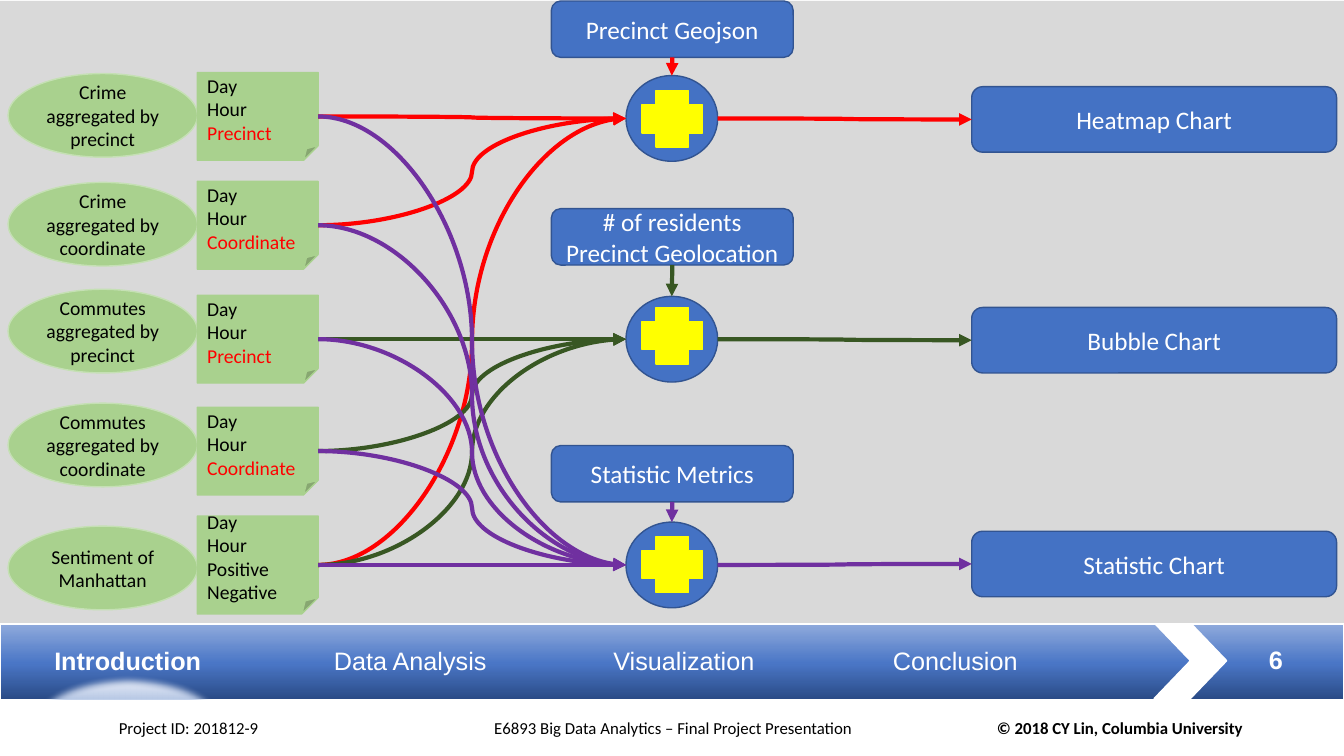
from dataclasses import dataclass

import pptx
import pptx.dml.color
import pptx.enum.shapes
import pptx.enum.text
import pptx.oxml
import pptx.oxml.ns
import pptx.util

SHAPE = pptx.enum.shapes.MSO_SHAPE
CONNECTOR = pptx.enum.shapes.MSO_CONNECTOR
ALIGN = pptx.enum.text.PP_ALIGN
ANCHOR = pptx.enum.text.MSO_ANCHOR
NS = pptx.oxml.ns.nsdecls("a")
WIDTH, HEIGHT = pptx.util.Inches(13.33), pptx.util.Inches(7.5)
COLS, ROWS = 40, 30


@dataclass(frozen=True)
class Theme:
    heading_font: str = "Arial"
    body_font: str = "Calibri"
    small: int = 12
    body: int = 14
    large: int = 18
    hairline: int = 1
    flow_line: int = 3
    white: str = "FFFFFF"
    black: str = "000000"
    panel: str = "D9D9D9"
    green: str = "A9D18E"
    pale_green: str = "C5E0B4"
    blue: str = "4472C4"
    dark_blue: str = "325491"
    yellow: str = "FFFF00"
    red: str = "FF0000"
    dark_green: str = "385723"
    purple: str = "7030A0"
    # Gradient stops: position, colour, opacity
    bar: tuple = ((0, "2A4B86", 100), (48, "4A76C6", 100), (100, "8FAADC", 100))
    glow: tuple = ((0, "F6F8FC", 100), (56, "9AB3DF", 92),
                   (79, "ABC0E4", 100), (100, "C7D5ED", 100))


T = Theme()


@dataclass(frozen=True)
class Box:
    """An area in grid columns and rows of the slide."""
    x: float
    y: float
    w: float
    h: float

    def area(self, x, y, w, h):
        return Box(self.x + x, self.y + y, w, h)

    def emu(self):
        dx, dy = WIDTH / COLS, HEIGHT / ROWS
        return [round(v) for v in (self.x * dx, self.y * dy, self.w * dx, self.h * dy)]


def rgb(value):
    return pptx.dml.color.RGBColor.from_string(value)


def write(sp, text, size, color, font=T.body_font, bold=False,
          align=ALIGN.LEFT, anchor=ANCHOR.MIDDLE):
    tf = sp.text_frame
    tf.word_wrap = True
    tf.vertical_anchor = anchor
    tf.text = text
    for p in tf.paragraphs:
        p.alignment = align
        for r in p.runs:
            r.font.name, r.font.size, r.font.bold = font, pptx.util.Pt(size), bold
            r.font.color.rgb = rgb(color)


def add_label(slide, box, text, size, color, **style):
    write(slide.shapes.add_textbox(*box.emu()), text, size, color, **style)


def add_block(slide, kind, box, fill, line=None):
    sp = slide.shapes.add_shape(kind, *box.emu())
    sp.shadow.inherit = False
    if isinstance(fill, str):
        sp.fill.solid()
        sp.fill.fore_color.rgb = rgb(fill)
    if line:
        sp.line.color.rgb = rgb(line)
        sp.line.width = pptx.util.Pt(T.hairline)
    else:
        sp.line.fill.background()
    return sp


def fill_gradient(sp, stops, angle):
    gs = "".join(f'<a:gs pos="{pos * 1000}"><a:srgbClr val="{color}">'
                 f'<a:alpha val="{alpha * 1000}"/></a:srgbClr></a:gs>'
                 for pos, color, alpha in stops)
    grad = pptx.oxml.parse_xml(f'<a:gradFill {NS} rotWithShape="1"><a:gsLst>{gs}</a:gsLst>'
                               f'<a:lin ang="{angle * 60000}" scaled="0"/></a:gradFill>')
    sp.element.spPr.find(pptx.oxml.ns.qn("a:prstGeom")).addnext(grad)


def add_arrow(slide, kind, begin, end, color):
    cx = slide.shapes.add_connector(kind, *begin, *end)
    cx.line.color.rgb = rgb(color)
    cx.line.width = pptx.util.Pt(T.flow_line)
    spPr = cx.element.spPr
    ln = spPr.find(pptx.oxml.ns.qn("a:ln"))
    ln.append(pptx.oxml.parse_xml(f'<a:tailEnd {NS} type="triangle"/>'))
    spPr.append(pptx.oxml.parse_xml(f"<a:effectLst {NS}/>"))
    return cx


def left_side(sp):
    return sp.left, sp.top + sp.height // 2


def right_side(sp):
    return sp.left + sp.width, sp.top + sp.height // 2


def add_source(slide, box, name, name_row, fields, note_row, note_height):
    """Data set with its field note; returns the note."""
    sp = add_block(slide, SHAPE.OVAL, box.area(0.24, name_row, 5.64, 3.32),
                   T.green, T.pale_green)
    write(sp, name, T.body, T.black, align=ALIGN.CENTER)
    note = add_block(slide, SHAPE.FOLDED_CORNER, box.area(5.87, note_row, 3.6, note_height),
                     T.green, T.green)
    write(note, "\n".join(fields), T.body, T.black)
    for p in note.text_frame.paragraphs:
        if p.text in ("Precinct", "Coordinate"):
            p.runs[0].font.color.rgb = rgb(T.red)
    return note


def add_stage(slide, box, extra, extra_row, hub_row, plus_row, chart, chart_row, color, notes):
    """Extra input and source notes merge in a hub that leads to a chart."""
    hub = add_block(slide, SHAPE.OVAL, box.area(18.63, hub_row, 2.73, 3.4), T.blue, T.dark_blue)
    add_block(slide, SHAPE.CROSS, box.area(19.11, plus_row, 1.8, 2.24), T.yellow, T.yellow)
    cards = []
    for text, place in ((extra, box.area(16.41, extra_row, 7.2, 2.24)),
                        (chart, box.area(28.92, chart_row, 10.86, 2.6))):
        card = add_block(slide, SHAPE.ROUNDED_RECTANGLE, place, T.blue, T.dark_blue)
        write(card, text, T.large, T.white, align=ALIGN.CENTER)
        cards.append(card)
    for note in notes:
        add_arrow(slide, CONNECTOR.CURVE, right_side(note), left_side(hub), color)
    add_arrow(slide, CONNECTOR.CURVE, right_side(hub), left_side(cards[1]), color)
    down = add_arrow(slide, CONNECTOR.STRAIGHT, (0, 0), (0, 0), color)
    down.begin_connect(cards[0], 2)
    down.end_connect(hub, 0)


def add_flow(slide, box):
    add_block(slide, SHAPE.RECTANGLE, box, T.panel)
    precinct, coordinate = ("Day", "Hour", "Precinct"), ("Day", "Hour", "Coordinate")
    sources = (
        ("Crime aggregated by precinct", 2.88, precinct, 2.84, 3.48),
        ("Crime aggregated by coordinate", 7.2, coordinate, 7.16, 3.48),
        ("Commutes aggregated by precinct", 11.44, precinct, 11.68, 3.48),
        ("Commutes aggregated by coordinate", 15.96, coordinate, 16.12, 3.48),
        ("Sentiment of Manhattan", 20.84, ("Day", "Hour", "Positive", "Negative"), 20.44, 3.88),
    )
    notes = [add_source(slide, box, *source) for source in sources]
    crime, commutes, sentiment = notes[:2], notes[2:4], notes[4:]
    stages = (
        ("Precinct Geojson", 0, 2.96, 3.56, "Heatmap Chart", 3.4,
         T.red, crime + sentiment),
        ("# of residents\nPrecinct Geolocation", 8.24, 11.72, 12.16, "Bubble Chart", 12.16,
         T.dark_green, commutes + sentiment),
        ("Statistic Metrics", 17.64, 20.68, 21.24, "Statistic Chart", 21.04,
         T.purple, sentiment + crime + commutes),
    )
    for stage in stages:
        add_stage(slide, box, *stage)


def add_navigation(slide, box, sections, current, number):
    bar = add_block(slide, SHAPE.RECTANGLE, box, None, T.white)
    fill_gradient(bar, T.bar, 270)
    style = dict(font=T.heading_font, anchor=ANCHOR.TOP)
    for i, section in enumerate(sections):
        add_label(slide, box.area(1.32 + 8.32 * i, 0.64, 6.87, 1.6), section, T.large, T.white,
                  bold=section == current, **style)
    add_block(slide, SHAPE.CHEVRON, box.area(34.35, -0.04, 2.16, 3), T.white, T.white)
    add_label(slide, box.area(37.47, 0.6, 1.62, 1.6), number, T.large, T.white,
              bold=True, **style)
    # Soft glow under the current section
    glow = add_block(slide, SHAPE.OVAL, box.area(1.02, 2, 5.58, 3), None)
    fill_gradient(glow, T.glow, 90)
    effects = glow.element.spPr.find(pptx.oxml.ns.qn("a:effectLst"))
    effects.append(pptx.oxml.parse_xml(f'<a:softEdge {NS} rad="63500"/>'))


def add_credits(slide, box):
    add_block(slide, SHAPE.RECTANGLE, box, T.white, T.white)
    credits = (
        (3.24, 9, "Project ID: 201812-9", ALIGN.LEFT, False),
        (13.29, 13.5, "E6893 Big Data Analytics – Final Project Presentation",
         ALIGN.CENTER, False),
        (28.29, 9, "© 2018 CY Lin, Columbia University", ALIGN.RIGHT, True),
    )
    for x, w, text, align, bold in credits:
        add_label(slide, box.area(x, 0.28, w, 1.6), text, T.small, T.black,
                  align=align, bold=bold)


def main():
    prs = pptx.Presentation()
    prs.slide_width, prs.slide_height = WIDTH, HEIGHT
    slide = prs.slides.add_slide(prs.slide_layouts[6])
    add_navigation(slide, Box(0, 24.76, COLS, 3),
                   ("Introduction", "Data Analysis", "Visualization", "Conclusion"),
                   "Introduction", "6")
    add_credits(slide, Box(0, 27.8, COLS, 2.2))
    add_flow(slide, Box(0, 0.04, COLS, 24.68))
    prs.save("out.pptx")


if __name__ == "__main__":
    main()
